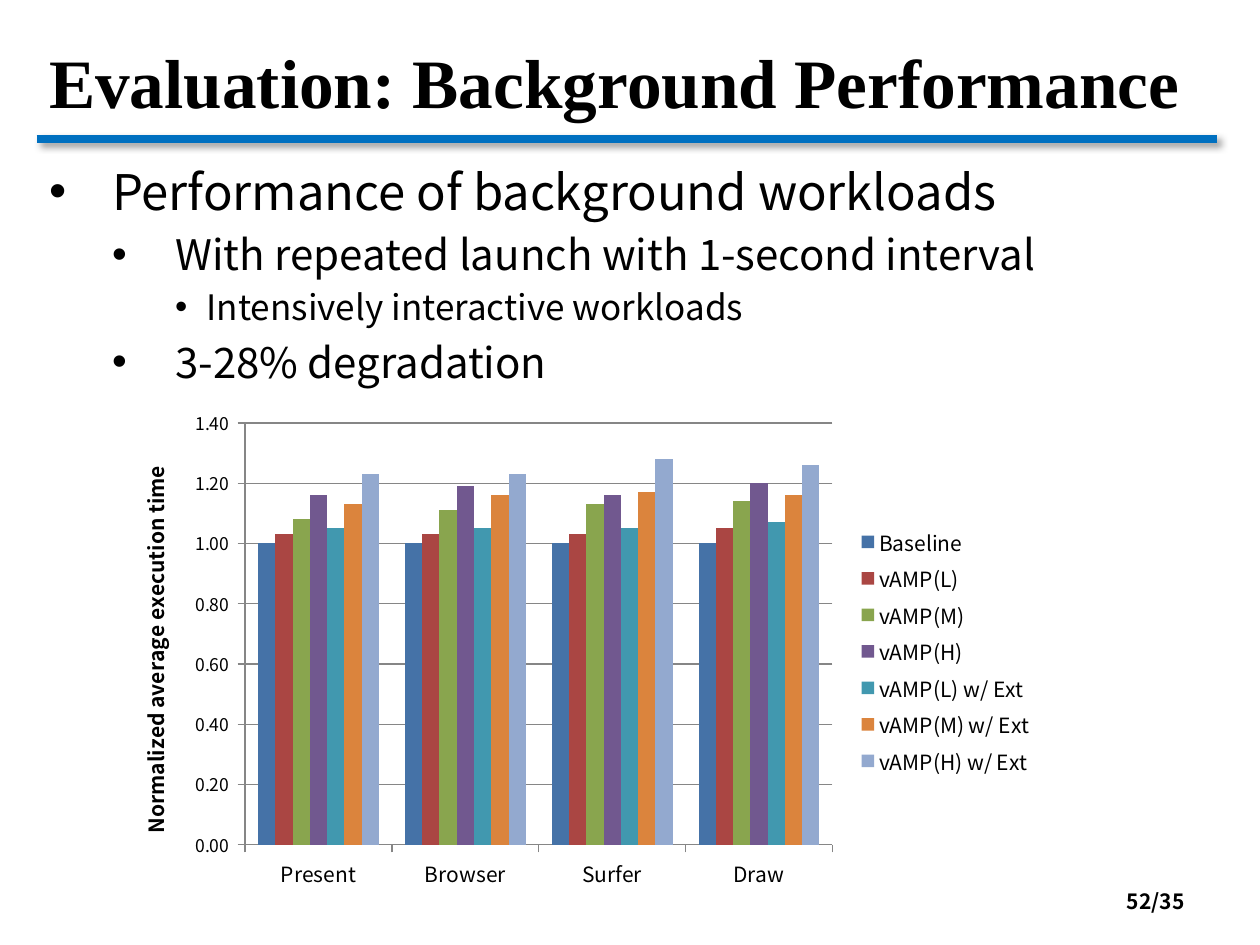
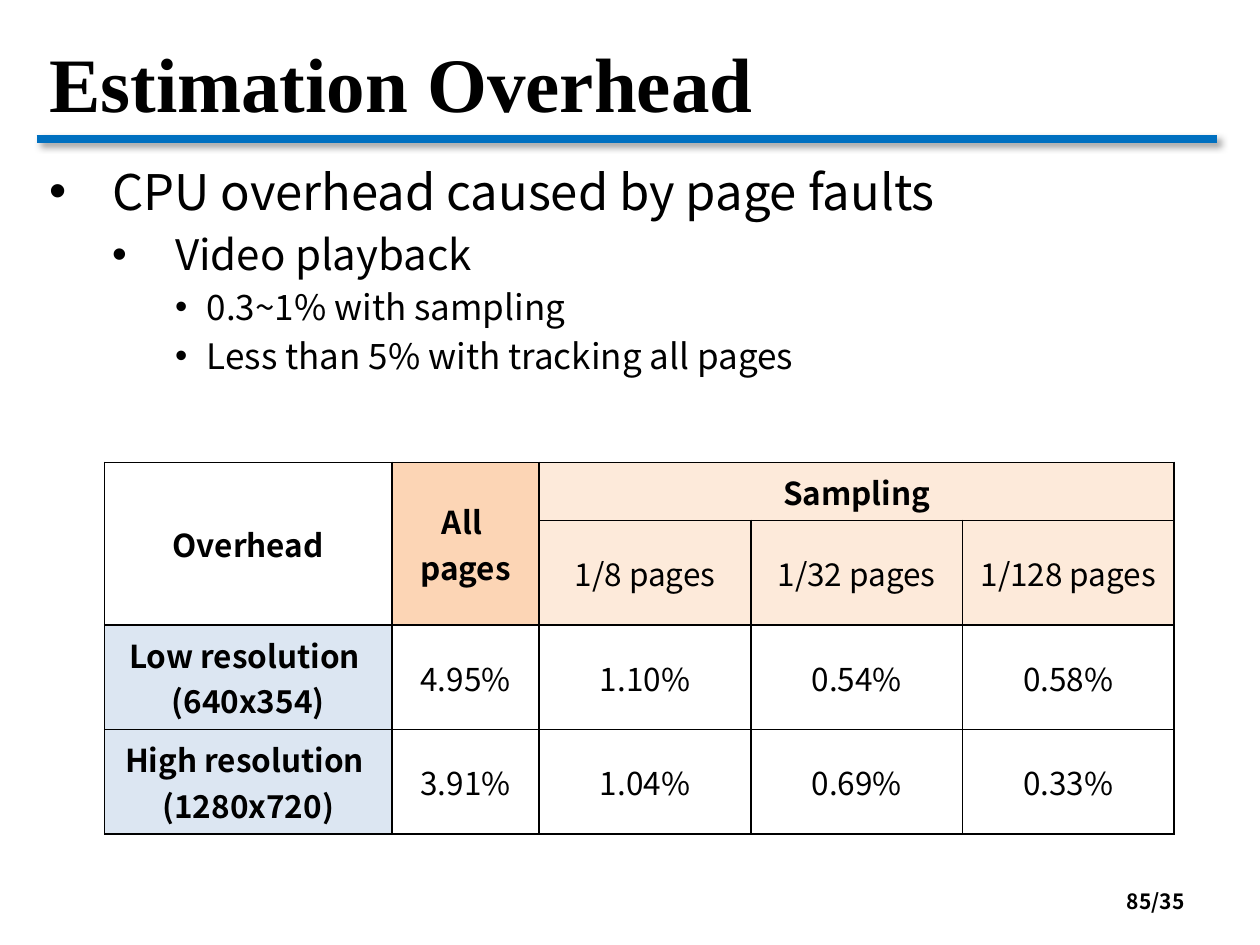
from lxml import etree
from pptx import Presentation
from pptx import oxml
from pptx import util as u
from pptx.chart.data import CategoryChartData
from pptx.dml.color import RGBColor
from pptx.enum import chart as ch
from pptx.enum import shapes, text
from pptx.oxml.ns import qn

Inches, Pt = u.Inches, u.Pt
COLORS = {
    "text": "000000", "rule": "0070C0", "grid": "868686",
    "all": "FCD5B5", "sampling": "FDEADA", "resolution": "DCE6F2",
}
SERIES_COLORS = ["4572A7", "AA4643", "89A54E", "71588F", "4198AF", "DB843D", "93A9CF"]
TITLE_FONT, BODY_FONT = "Times New Roman", "Noto Sans CJK KR"
LEFT, WIDTH = 0.29, 9.37
LEVELS = [(28, 0.5, 0.5), (24, 1, 0.5), (20, 1.25, 0.25)]
NS = 'xmlns:a="http://schemas.openxmlformats.org/drawingml/2006/main"'
SHADOW = (f'<a:effectLst {NS}><a:outerShdw blurRad="50800" dist="38100" dir="2700000" '
          'algn="tl" rotWithShape="0"><a:srgbClr val="000000"><a:alpha val="40000"/>'
          '</a:srgbClr></a:outerShdw></a:effectLst>')


def rgb(name):
    return RGBColor.from_string(COLORS.get(name, name))


def style(font, size, bold=False, name=BODY_FONT):
    font.name, font.size, font.bold = name, Pt(size), bold
    font.color.rgb = rgb("text")


def style_runs(p, size, bold=False, name=BODY_FONT):
    for r in p.runs:
        style(r.font, size, bold, name)
        ea = etree.SubElement(r.font._element, qn("a:ea"))
        ea.set("typeface", name)


def place(sp, x, y, w, h):
    sp.left, sp.top, sp.width, sp.height = Inches(x), Inches(y), Inches(w), Inches(h)


def add_rule(s):
    line = s.shapes.add_connector(shapes.MSO_CONNECTOR.STRAIGHT, Inches(LEFT), Inches(1.1),
                                  Inches(LEFT + WIDTH), Inches(1.1))
    line.line.color.rgb = rgb("rule")
    line.line.width = Pt(4.5)
    line._element.spPr.append(oxml.parse_xml(SHADOW))


def set_title(s, title, size):
    sp = s.shapes.title
    place(sp, LEFT, 0.14, WIDTH, 1.01)
    tf = sp.text_frame
    tf.text = title
    tf.auto_size = text.MSO_AUTO_SIZE.NONE
    tf.vertical_anchor = text.MSO_ANCHOR.MIDDLE
    p = tf.paragraphs[0]
    p.alignment = text.PP_ALIGN.LEFT
    style_runs(p, size, True, TITLE_FONT)


def set_bullets(s, items):
    sp = s.placeholders[1]
    place(sp, LEFT, 1.23, WIDTH, 5.51)
    tf = sp.text_frame
    tf.text = "\n".join(line for _, line in items)
    tf.auto_size = text.MSO_AUTO_SIZE.NONE
    for p, (level, _) in zip(tf.paragraphs, items):
        size, margin, hang = LEVELS[level]
        p.level = level
        pPr = p._p.get_or_add_pPr()
        pPr.set("marL", str(Inches(margin)))
        pPr.set("indent", str(-Inches(hang)))
        etree.SubElement(pPr, qn("a:buFont")).set("typeface", "Arial")
        etree.SubElement(pPr, qn("a:buChar")).set("char", "•")
        style_runs(p, size)


def add_page_number(s, number):
    sp = s.shapes.add_textbox(Inches(7.17), Inches(6.95), Inches(2.33), Inches(0.4))
    tf = sp.text_frame
    tf.word_wrap = True
    tf.vertical_anchor = text.MSO_ANCHOR.MIDDLE
    tf.text = number
    tf.paragraphs[0].alignment = text.PP_ALIGN.RIGHT
    style_runs(tf.paragraphs[0], 12, True)


def add_slide(prs, title, size, items, number):
    s = prs.slides.add_slide(prs.slide_layouts[1])
    add_rule(s)
    set_title(s, title, size)
    set_bullets(s, items)
    add_page_number(s, number)
    return s


def set_plot_area(chart, **box):
    area = chart._chartSpace.chart.plotArea
    for old in area.findall(qn("c:layout")):
        area.remove(old)
    layout = etree.Element(qn("c:layout"))
    area.insert(0, layout)
    manual = etree.SubElement(layout, qn("c:manualLayout"))
    settings = {"layoutTarget": "inner", "xMode": "edge", "yMode": "edge", **box}
    for key, value in settings.items():
        etree.SubElement(manual, qn("c:" + key)).set("val", str(value))


def add_column_chart(s, categories, series, axis_title):
    data = CategoryChartData(number_format="0.00")
    data.categories = categories
    for name, values in series:
        data.add_series(name, values)
    chart = s.shapes.add_chart(ch.XL_CHART_TYPE.COLUMN_CLUSTERED, Inches(0.91), Inches(3.2),
                               Inches(7.4), Inches(3.94), data).chart
    style(chart.font, 10)
    chart.has_title = False
    chart.has_legend = True
    chart.legend.position = ch.XL_LEGEND_POSITION.RIGHT
    chart.legend.include_in_layout = False
    style(chart.legend.font, 12)
    plot = chart.plots[0]
    plot.gap_width, plot.overlap, plot.vary_by_categories = 150, 0, False
    for ser, color in zip(plot.series, SERIES_COLORS):
        ser.format.fill.solid()
        ser.format.fill.fore_color.rgb = rgb(color)
    cat, val = chart.category_axis, chart.value_axis
    style(cat.tick_labels.font, 12)
    val.minimum_scale, val.maximum_scale, val.major_unit = 0, 1.4, 0.2
    val.tick_labels.number_format = "0.00_ "
    val.tick_labels.number_format_is_linked = False
    val.has_major_gridlines = True
    for line in (cat.format.line, val.format.line, val.major_gridlines.format.line):
        line.color.rgb = rgb("grid")
        line.width = Pt(0.75)
    for axis in (cat, val):
        axis.major_tick_mark = ch.XL_TICK_MARK.OUTSIDE
    tf = val.axis_title.text_frame
    tf.text = axis_title
    style_runs(tf.paragraphs[0], 12, True)
    set_plot_area(chart, x=0.14, y=0.04, w=0.63, h=0.85)


def set_borders(cell):
    tcPr = cell._tc.get_or_add_tcPr()
    for side in ("lnL", "lnR", "lnT", "lnB"):
        tcPr.append(oxml.parse_xml(
            f'<a:{side} {NS} w="12700"><a:solidFill><a:srgbClr val="{COLORS["text"]}"/>'
            f'</a:solidFill></a:{side}>'))


def fill_cell(cell, content, bold, fill):
    set_borders(cell)
    if fill:
        cell.fill.solid()
        cell.fill.fore_color.rgb = rgb(fill)
    else:
        cell.fill.background()
    cell.vertical_anchor = text.MSO_ANCHOR.MIDDLE
    cell.text_frame.text = content
    for p in cell.text_frame.paragraphs:
        p.alignment = text.PP_ALIGN.CENTER
        style_runs(p, 18, bold)


def cell_fill(row, col):
    if row > 1:
        return "resolution" if col == 0 else None
    return (None, "all", "sampling")[min(col, 2)]


def add_overhead_table(s, rows):
    widths, heights = [2.28, 1.17] + [1.68] * 3, [0.46] + [0.83] * 3
    table = s.shapes.add_table(len(heights), len(widths), Inches(0.83), Inches(3.67),
                               Inches(sum(widths)), Inches(sum(heights))).table
    table.first_row = table.horz_banding = False
    for col, w in zip(table.columns, widths):
        col.width = Inches(w)
    for row, h in zip(table.rows, heights):
        row.height = Inches(h)
    for i, row in enumerate(rows):
        for j, content in enumerate(row):
            fill_cell(table.cell(i, j), content, i == 0 or j == 0, cell_fill(i, j))
    for first, last in (((0, 0), (1, 0)), ((0, 1), (1, 1)), ((0, 2), (0, 4))):
        table.cell(*first).merge(table.cell(*last))


def main():
    prs = Presentation()
    prs.slide_width, prs.slide_height = Inches(10), Inches(7.5)

    s = add_slide(prs, "Evaluation: Background Performance", 39.6, [
        (0, "Performance of background workloads"),
        (1, "With repeated launch with 1-second interval"),
        (2, "Intensively interactive workloads"),
        (1, "3-28% degradation"),
    ], "52/35")
    add_column_chart(s, ["Present", "Browser", "Surfer", "Draw"], [
        ("Baseline", [1, 1, 1, 1]),
        ("vAMP(L)", [1.03, 1.03, 1.03, 1.05]),
        ("vAMP(M)", [1.08, 1.11, 1.13, 1.14]),
        ("vAMP(H)", [1.16, 1.19, 1.16, 1.2]),
        ("vAMP(L) w/ Ext", [1.05, 1.05, 1.05, 1.07]),
        ("vAMP(M) w/ Ext", [1.13, 1.16, 1.17, 1.16]),
        ("vAMP(H) w/ Ext", [1.23, 1.23, 1.28, 1.26]),
    ], "Normalized average execution time")

    s = add_slide(prs, "Estimation Overhead", 44, [
        (0, "CPU overhead caused by page faults"),
        (1, "Video playback"),
        (2, "0.3~1% with sampling"),
        (2, "Less than 5% with tracking all pages"),
    ], "85/35")
    add_overhead_table(s, [
        ["Overhead", "All \npages", "Sampling", "", ""],
        ["", "", "1/8 pages", "1/32 pages", "1/128 pages"],
        ["Low resolution \n(640x354)", "4.95%", "1.10%", "0.54%", "0.58%"],
        ["High resolution \n(1280x720)", "3.91%", "1.04%", "0.69%", "0.33%"],
    ])
    prs.save("out.pptx")


main()
